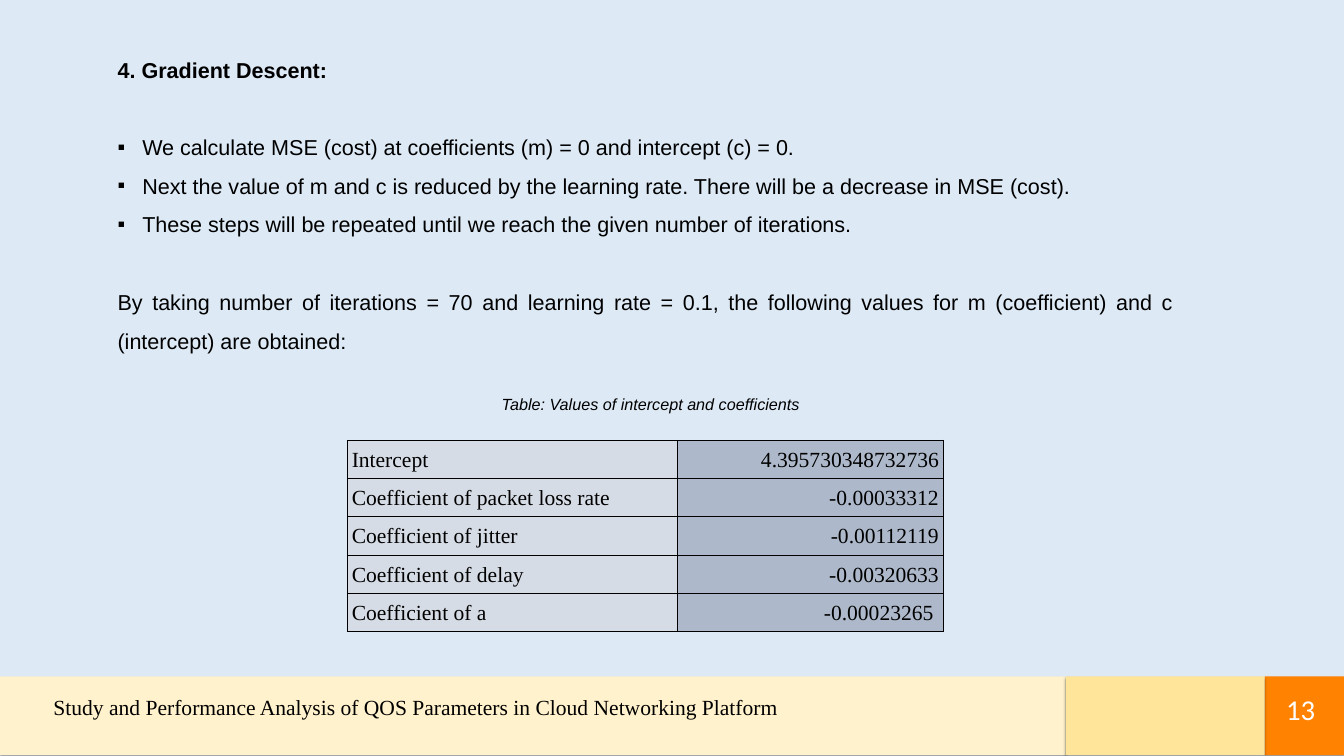
from dataclasses import dataclass

from lxml import etree
from pptx import Presentation
from pptx import util as u
from pptx.dml.color import RGBColor
from pptx.enum import shapes, text
from pptx.oxml import parse_xml
from pptx.oxml.ns import nsdecls, qn

ALIGN = text.PP_ALIGN
ANCHOR = text.MSO_ANCHOR


@dataclass(frozen=True)
class Theme:
    background: str = "DDEAF6"
    ink: str = "000000"
    white: str = "FFFFFF"
    footer_cream: str = "FFF2CC"
    footer_yellow: str = "FEE599"
    footer_orange: str = "FF8200"
    label_fill: str = "D6DCE5"
    value_fill: str = "ADB9CA"
    sans: str = "Arial"
    serif: str = "Times New Roman"
    number_font: str = "Calibri"
    body_size: int = 24
    caption_size: int = 18
    number_size: int = 32


class SlideBuilder:
    def __init__(self, presentation, theme):
        self.theme = theme
        self.slide = presentation.slides.add_slide(presentation.slide_layouts[5])
        self.fill(self.slide.background, theme.background)

    def fill(self, target, color):
        target.fill.solid()
        target.fill.fore_color.rgb = RGBColor.from_string(color)

    def place(self, shape, box):
        for name, value in zip(("left", "top", "width", "height"), box):
            setattr(shape, name, u.Cm(value))

    def set_text(self, paragraph, words, color=None, align=ALIGN.LEFT,
                 spacing=1.0, before=0, **font):
        paragraph_format = {"alignment": align, "line_spacing": spacing,
                            "space_before": u.Pt(before), "space_after": u.Pt(0)}
        for name, value in paragraph_format.items():
            setattr(paragraph, name, value)
        run = paragraph.add_run()
        run.text = words
        font_format = {"name": self.theme.sans, "size": self.theme.body_size,
                       "bold": False, "italic": False} | font
        font_format["size"] = u.Pt(font_format["size"])
        for name, value in font_format.items():
            setattr(run.font, name, value)
        run.font.color.rgb = RGBColor.from_string(color or self.theme.ink)

    def frame(self, shape, anchor=ANCHOR.TOP):
        """Set the common margins and wrapping, and return the text frame."""
        frame_format = {"word_wrap": True, "auto_size": text.MSO_AUTO_SIZE.NONE,
                        "vertical_anchor": anchor,
                        "margin_left": u.Cm(0.25), "margin_right": u.Cm(0.25),
                        "margin_top": u.Cm(0.13), "margin_bottom": u.Cm(0.13)}
        for name, value in frame_format.items():
            setattr(shape.text_frame, name, value)
        return shape.text_frame

    def title(self, box, words):
        shape = self.slide.shapes.title
        self.place(shape, box)
        self.set_text(self.frame(shape).paragraphs[0], words,
                      align=ALIGN.JUSTIFY, bold=True)

    def text_box(self, box, words, anchor=ANCHOR.TOP, **style):
        shape = self.slide.shapes.add_textbox(*map(u.Cm, box))
        self.set_text(self.frame(shape, anchor).paragraphs[0], words, **style)

    def bullet(self, paragraph, indent):
        properties = paragraph._p.get_or_add_pPr()
        properties.set("marL", str(u.Cm(indent)))
        properties.set("indent", str(-u.Cm(indent)))
        color = etree.SubElement(properties, qn("a:buClr"))
        etree.SubElement(color, qn("a:srgbClr"), val=self.theme.ink)
        etree.SubElement(properties, qn("a:buFont"), typeface=self.theme.sans)
        etree.SubElement(properties, qn("a:buChar"), char="▪")

    def body(self, box, bullets, closing, gap):
        shape = self.slide.shapes.add_textbox(*map(u.Cm, box))
        frame = self.frame(shape)
        style = {"align": ALIGN.JUSTIFY, "spacing": 1.5}
        for index, words in enumerate(bullets):
            paragraph = frame.add_paragraph() if index else frame.paragraphs[0]
            self.set_text(paragraph, words, **style)
            self.bullet(paragraph, 0.97)
        self.set_text(frame.add_paragraph(), closing, before=gap, **style)

    def panel(self, box, color):
        shape = self.slide.shapes.add_shape(
            shapes.MSO_SHAPE.RECTANGLE, *map(u.Cm, box))
        self.fill(shape, color)
        shape.line.fill.background()
        shape.shadow.inherit = False
        effects = shape._element.spPr.find(qn("a:effectLst"))
        effects.append(parse_xml(
            f'<a:outerShdw {nsdecls("a")} blurRad="{u.Pt(3.5)}" '
            f'dist="{u.Pt(2.2)}" dir="5400000" algn="t" rotWithShape="0">'
            f'<a:srgbClr val="{self.theme.ink}"><a:alpha val="32000"/>'
            '</a:srgbClr></a:outerShdw>'))

    def border(self, cell):
        properties = cell._tc.get_or_add_tcPr()
        for index, side in enumerate(("lnL", "lnR", "lnT", "lnB")):
            properties.insert(index, parse_xml(
                f'<a:{side} {nsdecls("a")} w="{u.Pt(1)}"><a:solidFill>'
                f'<a:srgbClr val="{self.theme.ink}"/></a:solidFill></a:{side}>'))

    def table(self, left, top, widths, row_height, rows):
        box = (left, top, sum(widths), row_height * len(rows))
        table = self.slide.shapes.add_table(
            len(rows), len(widths), *map(u.Cm, box)).table
        table.first_row = table.horz_banding = False
        for column, width in zip(table.columns, widths):
            column.width = u.Cm(width)
        columns = ((self.theme.label_fill, ALIGN.LEFT),
                   (self.theme.value_fill, ALIGN.RIGHT))
        cell_format = {"vertical_anchor": ANCHOR.MIDDLE,
                       "margin_left": u.Cm(0.18), "margin_right": u.Cm(0.18),
                       "margin_top": 0, "margin_bottom": 0}
        for row_index, row in enumerate(rows):
            for column_index, (color, align) in enumerate(columns):
                cell = table.cell(row_index, column_index)
                for name, value in cell_format.items():
                    setattr(cell, name, value)
                self.fill(cell, color)
                self.border(cell)
                self.set_text(cell.text_frame.paragraphs[0], row[column_index],
                              align=align, spacing=1.07, name=self.theme.serif)


def main():
    presentation = Presentation()
    presentation.slide_width = u.Cm(52.8)
    presentation.slide_height = u.Cm(29.7)
    theme = Theme()
    builder = SlideBuilder(presentation, theme)

    footer_top, footer_height = 26.57, 3.1
    for left, right, color in ((0, 41.86, theme.footer_cream),
                               (49.68, 52.8, theme.footer_orange),
                               (41.86, 49.68, theme.footer_yellow)):
        builder.panel((left, footer_top, right - left, footer_height), color)
    builder.text_box(
        (1.85, 27.15, 31.32, 2.31),
        "Study and Performance Analysis of QOS Parameters in Cloud Networking Platform",
        name=theme.serif)
    builder.text_box((49.25, 27.53, 2.67, 0.66), "13", ANCHOR.MIDDLE,
                     color=theme.white, align=ALIGN.RIGHT,
                     name=theme.number_font, size=theme.number_size)

    builder.title((4.37, 2.11, 41.96, 1.25), "4. Gradient Descent:")
    builder.body(
        (4.37, 4.62, 41.96, 9.5),
        ("We calculate MSE (cost) at coefficients (m) = 0 and intercept (c) = 0.",
         "Next the value of m and c is reduced by the learning rate. "
         "There will be a decrease in MSE (cost).",
         "These steps will be repeated until we reach the given number of iterations."),
        "By taking number of iterations = 70 and learning rate = 0.1, the following "
        "values for m (coefficient) and c (intercept) are obtained:",
        gap=43.5)
    builder.table(13.64, 17.3, (12.98, 10.44), 1.5, (
        ("Intercept", "4.395730348732736"),
        ("Coefficient of packet loss rate", "-0.00033312"),
        ("Coefficient of jitter", "-0.00112119"),
        ("Coefficient of delay", "-0.00320633"),
        ("Coefficient of a", "-0.00023265 ")))
    builder.text_box((19.46, 15.37, 14.15, 1.02),
                     "Table: Values of intercept and coefficients",
                     size=theme.caption_size, italic=True)
    presentation.save("out.pptx")


if __name__ == "__main__":
    main()
